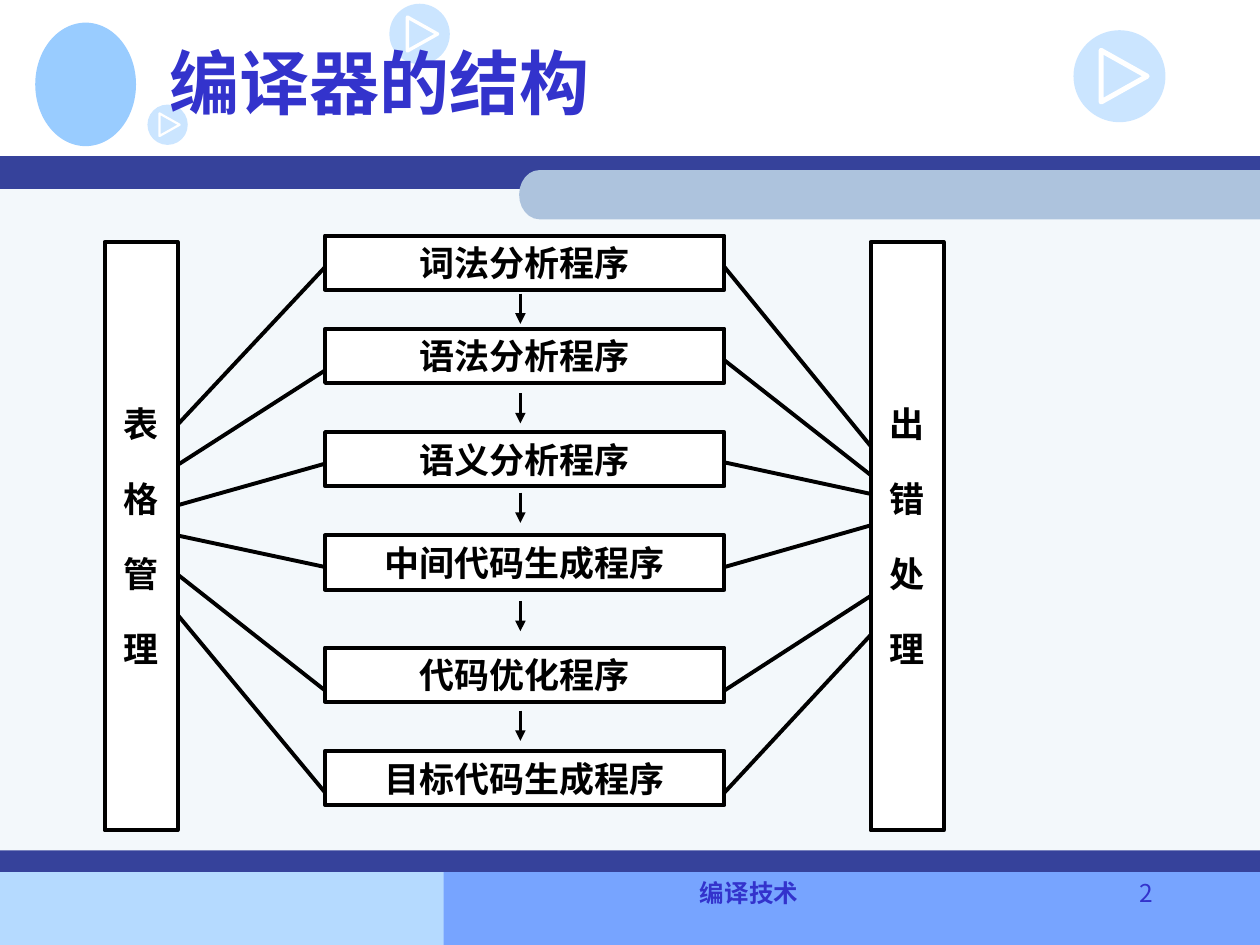
import math

from lxml import etree
from pptx import Presentation
from pptx.dml.color import RGBColor
from pptx.enum.shapes import MSO_CONNECTOR, MSO_SHAPE
from pptx.enum.text import MSO_ANCHOR, PP_ALIGN
from pptx.oxml.ns import qn
from pptx.util import Inches, Pt

RECTANGLE, OVAL = MSO_SHAPE.RECTANGLE, MSO_SHAPE.OVAL
STRAIGHT = MSO_CONNECTOR.STRAIGHT
TOP, MIDDLE = MSO_ANCHOR.TOP, MSO_ANCHOR.MIDDLE
LEFT, CENTER, RIGHT = PP_ALIGN.LEFT, PP_ALIGN.CENTER, PP_ALIGN.RIGHT

BLACK = RGBColor(0x00, 0x00, 0x00)
WHITE = RGBColor(0xFF, 0xFF, 0xFF)
INDIGO = RGBColor(0x33, 0x33, 0xCC)
NAVY = RGBColor(0x36, 0x42, 0x9B)
SKY = RGBColor(0x99, 0xCC, 0xFF)
PALE_SKY = RGBColor(0xB5, 0xDA, 0xFF)
BLUE = RGBColor(0x77, 0xA4, 0xFF)
MIST = RGBColor(0xF3, 0xF8, 0xFB)
STEEL = RGBColor(0xAD, 0xC3, 0xDD)

SERIF = "Times New Roman"
SANS = "Noto Sans CJK KR"

BANDS = [
    (0, 6.92, 4.25, 0.58, PALE_SKY),
    (3.52, 6.91, 6.48, 0.59, BLUE),
    (0, 1.4, 10, 5.51, MIST),
    (0, 1.24, 10, 0.26, NAVY),
    (0, 6.75, 10, 0.17, NAVY),
]
BADGES = [(3.09, 0.03, 0.48), (8.52, 0.24, 0.73), (1.17, 0.83, 0.32)]
PILLAR_TOP, PILLAR_WIDTH, PILLAR_HEIGHT = 1.92, 0.58, 4.67
TABLE_LEFT, ERROR_LEFT = 0.83, 6.91
STAGE_LEFT, STAGE_WIDTH, STAGE_HEIGHT = 2.58, 3.17, 0.43
STAGES = [
    ("词法分析程序", 1.87, (3.37, 2.12), (2.12, 3.54)),
    ("语法分析程序", 2.61, (3.69, 2.94), (2.86, 3.77)),
    ("语义分析程序", 3.43, (4.01, 3.68), (3.67, 3.92)),
    ("中间代码生成程序", 4.25, (4.25, 4.5), (4.5, 4.17)),
    ("代码优化程序", 5.14, (4.56, 5.48), (5.48, 4.73)),
    ("目标代码生成程序", 5.96, (4.88, 6.29), (6.29, 5.04)),
]
ARROW_X, ARROW_LENGTH = 4.13, 0.24
ARROW_TOPS = [2.33, 3.12, 3.91, 4.77, 5.64]


def write_text(frame, text, size=20, font=SERIF, color=BLACK, bold=True,
               align=CENTER, anchor=MIDDLE, wrap=False, gap=0):
    frame.word_wrap = wrap
    frame.vertical_anchor = anchor
    for index, line in enumerate(text.split("\n")):
        para = frame.paragraphs[0] if index == 0 else frame.add_paragraph()
        para.alignment = align
        para.space_before = Pt(gap if index else 0)
        span = para.add_run()
        span.text = line
        span.font.size = Pt(size)
        span.font.bold = bold
        span.font.color.rgb = color
        span.font.name = font
        properties = span._r.get_or_add_rPr()
        etree.SubElement(properties, qn("a:ea")).set("typeface", SANS)


class Painter:
    def __init__(self, slide):
        self.slide = slide
        self.shapes = slide.shapes

    def style(self, shape, fill=None, line=None, width=2.25):
        shape.shadow.inherit = False
        if fill is None:
            shape.fill.background()
        else:
            shape.fill.solid()
            shape.fill.fore_color.rgb = fill
        if line is None:
            shape.line.fill.background()
        else:
            shape.line.color.rgb = line
            shape.line.width = Pt(width)
        return shape

    def shape(self, kind, left, top, width, height, fill, line=None):
        shape = self.shapes.add_shape(
            kind, Inches(left), Inches(top), Inches(width), Inches(height))
        return self.style(shape, fill, line)

    def outline(self, points, **look):
        corners = [(Inches(x), Inches(y)) for x, y in points]
        builder = self.shapes.build_freeform(*corners[0])
        builder.add_line_segments(corners[1:], close=True)
        return self.style(builder.convert_to_shape(), **look)

    def badge(self, left, top, size):
        disc = self.shape(OVAL, left, top, size, size, SKY)
        color = disc.fill._xPr.find(".//" + qn("a:srgbClr"))
        etree.SubElement(color, qn("a:alpha")).set("val", "50000")
        corners = [(0.3, 0.22), (0.8, 0.5), (0.3, 0.78)]
        self.outline([(left + x * size, top + y * size) for x, y in corners],
                     line=WHITE, width=4 * size)

    def box(self, text, left, top, width, height, **look):
        shape = self.shape(RECTANGLE, left, top, width, height, WHITE, BLACK)
        write_text(shape.text_frame, text, **look)

    def label(self, text, left, top, width, height, **look):
        box = self.shapes.add_textbox(
            Inches(left), Inches(top), Inches(width), Inches(height))
        write_text(box.text_frame, text, wrap=True, color=INDIGO, **look)

    def line(self, start, end, width=2.25, arrow=False):
        line = self.shapes.add_connector(
            STRAIGHT, *(Inches(value) for value in start + end))
        line.line.color.rgb = BLACK
        line.line.width = Pt(width)
        if arrow:
            tail = etree.SubElement(line.line._get_or_add_ln(), qn("a:tailEnd"))
            tail.set("type", "triangle")
        etree.SubElement(line._element.spPr, qn("a:effectLst"))


def draw_background(painter):
    for *place, color in BANDS:
        painter.shape(RECTANGLE, *place, color)
    angles = [math.radians(90 + 15 * step) for step in range(13)]
    cap = [(4.28 + 0.16 * math.cos(angle), 1.545 - 0.195 * math.sin(angle))
           for angle in angles]
    painter.outline([(10, 1.35)] + cap + [(10, 1.74)], fill=STEEL)
    painter.shape(OVAL, 0.28, 0.18, 0.8, 0.98, SKY)
    for badge in BADGES:
        painter.badge(*badge)


def draw_compiler(painter):
    for text, left in [("表\n格\n管\n理", TABLE_LEFT), ("出\n错\n处\n理", ERROR_LEFT)]:
        painter.box(text, left, PILLAR_TOP, PILLAR_WIDTH, PILLAR_HEIGHT, gap=19)
    table_right = TABLE_LEFT + PILLAR_WIDTH
    stage_right = STAGE_LEFT + STAGE_WIDTH
    for text, top, (table_y, left_y), (right_y, error_y) in STAGES:
        painter.box(text, STAGE_LEFT, top, STAGE_WIDTH, STAGE_HEIGHT)
        painter.line((STAGE_LEFT, left_y), (table_right, table_y))
        painter.line((ERROR_LEFT, error_y), (stage_right, right_y))
    for top in ARROW_TOPS:
        painter.line((ARROW_X, top), (ARROW_X, top + ARROW_LENGTH),
                     width=2, arrow=True)


def main():
    deck = Presentation()
    deck.slide_width, deck.slide_height = Inches(10), Inches(7.5)
    page = deck.slides.add_slide(deck.slide_layouts[6])
    painter = Painter(page)
    draw_background(painter)
    painter.label("编译技术", 3.42, 6.92, 5.05, 0.5, size=14, font=SANS, anchor=TOP)
    painter.label("2", 8.47, 6.92, 0.78, 0.5, size=14, font=SANS, bold=False,
                  align=RIGHT, anchor=TOP)
    painter.label("编译器的结构", 1.25, 0.06, 8.5, 1.17, size=40, align=LEFT)
    draw_compiler(painter)
    deck.save("out.pptx")


if __name__ == "__main__":
    main()
